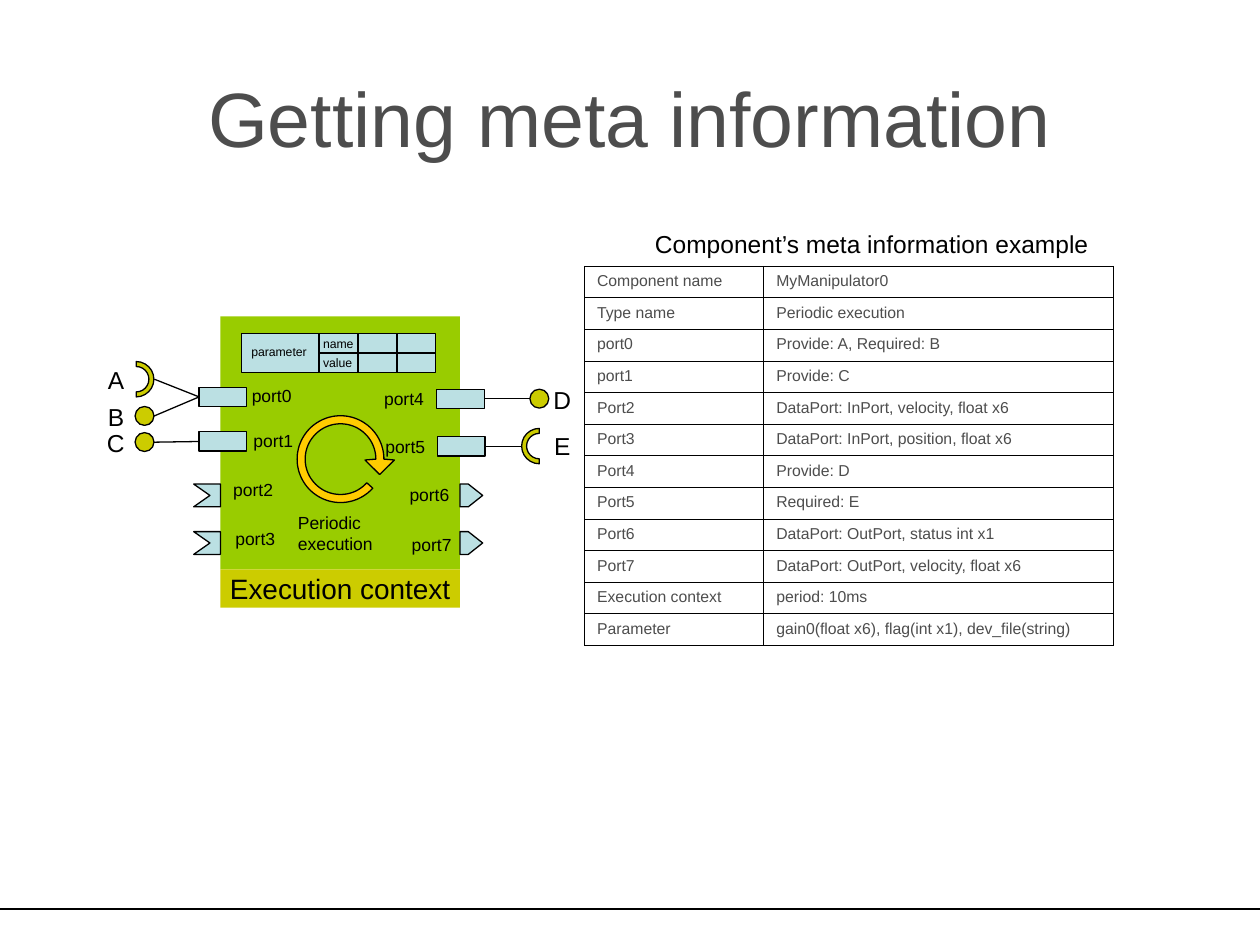
"""Build a slide showing a component's ports beside a table of its meta information."""
from math import cos, radians, sin

from lxml.etree import SubElement
from pptx import Presentation
from pptx.dml.color import RGBColor
from pptx.enum.shapes import MSO_CONNECTOR, MSO_SHAPE
from pptx.enum.text import MSO_ANCHOR, PP_ALIGN
from pptx.oxml.ns import qn
from pptx.util import Pt

FONT = "Arial"
BLACK = RGBColor(0, 0, 0)
GRAY = RGBColor(0x4D, 0x4D, 0x4D)
GREEN = RGBColor(0x99, 0xCC, 0x00)
OLIVE = RGBColor(0xCC, 0xCC, 0x00)
BLUE = RGBColor(0xBB, 0xE0, 0xE3)
ORANGE = RGBColor(0xFF, 0xCC, 0x00)

TITLE = "Getting meta information"
META_ROWS = [
    ("Component name", "MyManipulator0"),
    ("Type name", "Periodic execution"),
    ("port0", "Provide: A, Required: B"),
    ("port1", "Provide: C"),
    ("Port2", "DataPort: InPort, velocity, float x6"),
    ("Port3", "DataPort: InPort, position, float x6"),
    ("Port4", "Provide: D"),
    ("Port5", "Required: E"),
    ("Port6", "DataPort: OutPort, status int x1"),
    ("Port7", "DataPort: OutPort, velocity, float x6"),
    ("Execution context", "period: 10ms"),
    ("Parameter", "gain0(float x6), flag(int x1), dev_file(string)"),
]
LABELS = [
    ("port0", 136.8, 216.7, 37.4, 19.4, 10),
    ("port1", 137.7, 241.9, 37.4, 19.4, 10),
    ("port2", 126.2, 270, 37.4, 19.4, 10),
    ("port3", 127.4, 298.1, 37.4, 19.4, 10),
    ("port4", 212.4, 218, 37.4, 19.4, 10),
    ("port5", 213.1, 245.5, 37.4, 19.4, 10),
    ("port6", 226.9, 272.9, 37.4, 19.4, 10),
    ("port7", 228.2, 301.5, 37.4, 19.4, 10),
    ("Periodic\nexecution", 163.2, 288.8, 57.6, 31.7, 10),
    ("name", 177.5, 188.7, 32.4, 15.8, 7),
    ("value", 177.5, 199.6, 32.4, 15.8, 7),
    ("parameter", 136.5, 193.2, 46.8, 15.8, 7),
    ("Component’s meta information example", 367.2, 127.4, 263.5, 24.5, 14),
    ("A", 54.5, 205.2, 24, 23.8, 14),
    ("B", 54.5, 226.3, 24, 23.8, 14),
    ("C", 54, 241.2, 24, 23.8, 14),
    ("D", 309.1, 216.3, 24, 23.8, 14),
    ("E", 309.6, 242.6, 24, 23.8, 14),
]
SERVICE_PORTS = [(113.8, 221.3), (113.8, 246.7), (249.6, 222.4), (250, 249.6)]
PROVIDED = [(77.2, 232.3), (77.2, 247.2), (302.8, 222.4)]
REQUIRED = [(67.7, 206.6, 90), (298.1, 244.8, 270)]
LINKS = [
    (113.8, 226.8, 88.2, 216.7),
    (113.8, 226.8, 87.9, 237.8),
    (113.8, 252.3, 87.9, 252.7),
    (276.9, 227.8, 302.8, 227.8),
    (277.3, 255, 298.1, 255),
    (0, 519.5, 720, 519.5),
]
DATA_PORT_TOPS = (276.6, 303.8)
BODY_LEFT, BODY_TOP, BODY_WIDTH, BODY_HEIGHT = 126, 180.8, 136.8, 144.6
CELL_WIDTH, CELL_HEIGHT = 22.2, 11.1
PARAMETER_LEFT, PARAMETER_TOP, PARAMETER_WIDTH = 138, 190.7, 44.4

presentation = Presentation()
presentation.slide_width, presentation.slide_height = Pt(720), Pt(540)
slide = presentation.slides.add_slide(presentation.slide_layouts[5])


def write(frame, text, size=10, color=BLACK, align=PP_ALIGN.LEFT,
          anchor=MSO_ANCHOR.TOP, wrap=False):
    frame.word_wrap = wrap
    frame.vertical_anchor = anchor
    frame.text = text
    for paragraph in frame.paragraphs:
        paragraph.alignment = align
        for run in paragraph.runs:
            run.font.name, run.font.size = FONT, Pt(size)
            run.font.color.rgb = color


def paint(shape, fill, outlined=True):
    shape.shadow.inherit = False
    shape.fill.solid()
    shape.fill.fore_color.rgb = fill
    if outlined:
        shape.line.color.rgb = BLACK
        shape.line.width = Pt(0.75)
    else:
        shape.line.fill.background()
    return shape


def add_block(kind, left, top, width, height, fill, outlined=True):
    shape = slide.shapes.add_shape(kind, Pt(left), Pt(top), Pt(width), Pt(height))
    return paint(shape, fill, outlined)


def add_outline(points, fill):
    corners = [(Pt(x), Pt(y)) for x, y in points]
    builder = slide.shapes.build_freeform(*corners[0])
    builder.add_line_segments(corners[1:], close=True)
    return paint(builder.convert_to_shape(), fill)


def add_link(x1, y1, x2, y2):
    link = slide.shapes.add_connector(
        MSO_CONNECTOR.STRAIGHT, Pt(x1), Pt(y1), Pt(x2), Pt(y2))
    link.line.color.rgb = BLACK
    link.line.width = Pt(0.75)
    SubElement(link._element.spPr, qn("a:effectLst"))


def arc(radius, angles, center_x=194.6, center_y=262.4):
    return [(center_x + radius * cos(radians(angle)),
             center_y + radius * sin(radians(angle))) for angle in angles]


def set_borders(cell):
    properties = cell._tc.get_or_add_tcPr()
    for position, side in enumerate(("lnL", "lnR", "lnT", "lnB")):
        border = SubElement(properties, qn(f"a:{side}"), w=str(Pt(0.5)))
        fill = SubElement(border, qn("a:solidFill"))
        SubElement(fill, qn("a:srgbClr"), val=str(BLACK))
        properties.remove(border)
        properties.insert(position, border)


title = slide.shapes.title
title.left, title.top, title.width, title.height = Pt(36), Pt(21.6), Pt(648), Pt(90)
write(title.text_frame, TITLE, size=44, color=GRAY, align=PP_ALIGN.CENTER,
      anchor=MSO_ANCHOR.MIDDLE, wrap=True)

add_block(MSO_SHAPE.RECTANGLE, BODY_LEFT, BODY_TOP, BODY_WIDTH, BODY_HEIGHT,
          GREEN, outlined=False)
context = add_block(MSO_SHAPE.RECTANGLE, BODY_LEFT, BODY_TOP + BODY_HEIGHT,
                    BODY_WIDTH, 21.8, OLIVE, outlined=False)
write(context.text_frame, "Execution context", size=16, align=PP_ALIGN.CENTER,
      anchor=MSO_ANCHOR.MIDDLE)

for left, top in SERVICE_PORTS:
    add_block(MSO_SHAPE.RECTANGLE, left, top, 27.2, 11, BLUE)
for left, top in PROVIDED:
    add_block(MSO_SHAPE.OVAL, left, top, 10.8, 10.8, OLIVE)
for left, top, rotation in REQUIRED:
    socket = add_block(MSO_SHAPE.BLOCK_ARC, left, top, 20.2, 20.2, OLIVE)
    socket.adjustments[2] = 0.14
    socket.rotation = rotation
for link in LINKS:
    add_link(*link)

for top in DATA_PORT_TOPS:
    add_outline([(110.7, top), (BODY_LEFT, top), (BODY_LEFT, top + 13),
                 (110.7, top + 13), (120, top + 6.5)], BLUE)
    out_port = add_block(MSO_SHAPE.PENTAGON, BODY_LEFT + BODY_WIDTH, top, 13, 13, BLUE)
    out_port.adjustments[0] = 0.63

sweep = range(42, 361, 3)
arrowhead = [(225.4, 262.9), (217, 271.2), (208.6, 262.9)]
add_outline(arc(24.8, sweep) + arrowhead + arc(20.2, reversed(sweep)), ORANGE)

add_block(MSO_SHAPE.RECTANGLE, PARAMETER_LEFT, PARAMETER_TOP, PARAMETER_WIDTH,
          2 * CELL_HEIGHT, BLUE)
for row in range(2):
    for column in range(3):
        add_block(MSO_SHAPE.RECTANGLE,
                  PARAMETER_LEFT + PARAMETER_WIDTH + column * CELL_WIDTH,
                  PARAMETER_TOP + row * CELL_HEIGHT, CELL_WIDTH, CELL_HEIGHT, BLUE)

for text, left, top, width, height, size in LABELS:
    label = slide.shapes.add_textbox(Pt(left), Pt(top), Pt(width), Pt(height))
    write(label.text_frame, text, size=size)

row_height = 18.05
table = slide.shapes.add_table(
    len(META_ROWS), 2, Pt(334), Pt(152.1), Pt(302.4), Pt(row_height * len(META_ROWS))).table
table.first_row = table.horz_banding = False
table.columns[0].width, table.columns[1].width = Pt(102.4), Pt(200)
for row, values in enumerate(META_ROWS):
    table.rows[row].height = Pt(row_height)
    for column, text in enumerate(values):
        cell = table.cell(row, column)
        cell.fill.background()
        write(cell.text_frame, text, size=9, color=GRAY, wrap=True)
        set_borders(cell)

presentation.save("out.pptx")
